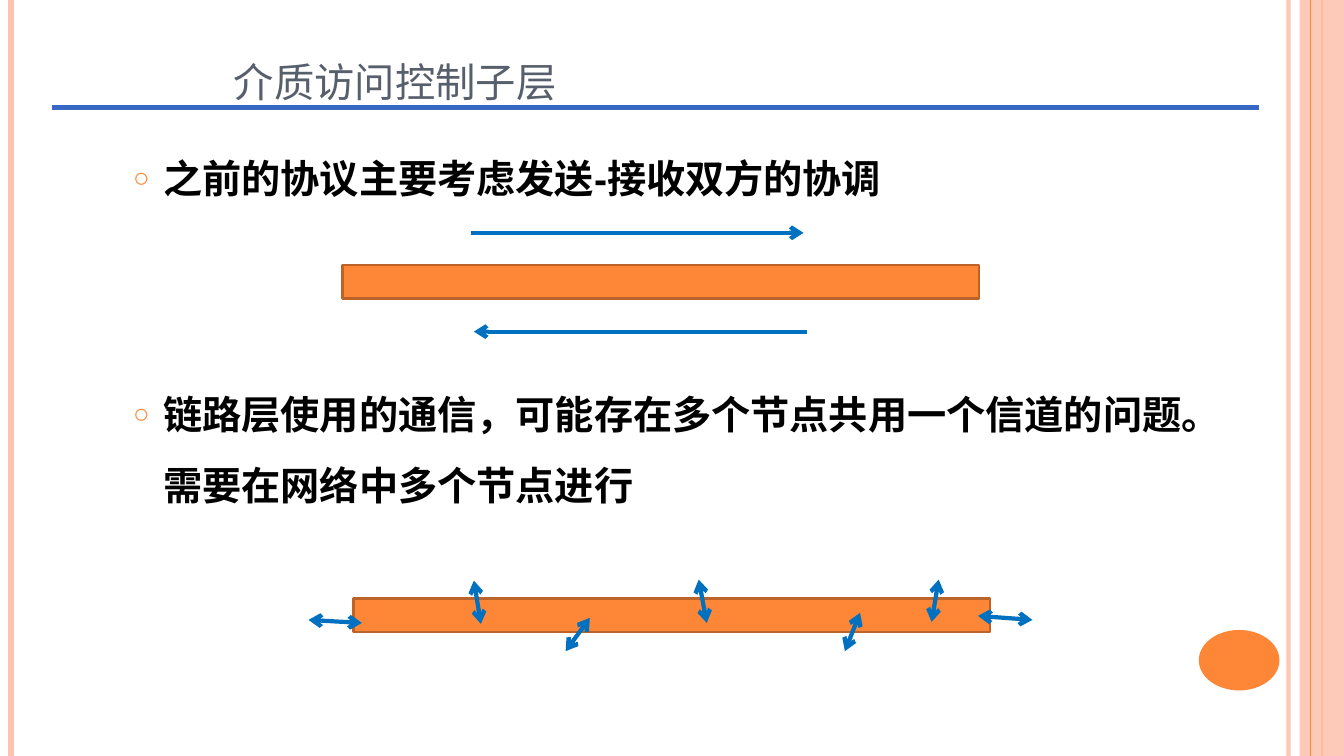
from dataclasses import dataclass

from lxml import etree
from pptx import Presentation
from pptx.dml.color import RGBColor
from pptx.enum import shapes, text
from pptx.oxml import ns
from pptx.util import Inches, Pt

ORANGE, PINK, BLUE = "FE8637", "FEC3AE", "0070C0"


@dataclass
class Line:
    x1: float
    y1: float
    x2: float
    y2: float
    color: str = BLUE
    width: float = 3
    head: bool = False
    tail: bool = False
    alpha: int = 100


@dataclass
class Block:
    left: float
    top: float
    width: float
    height: float
    kind: shapes.MSO_SHAPE = shapes.MSO_SHAPE.RECTANGLE
    fill: str = ORANGE
    outline: str = ""
    alpha: int = 100


def rgb(value: str) -> RGBColor:
    return RGBColor.from_string(value)


def add_child(parent, tag: str, **attrs: str):
    return etree.SubElement(parent, ns.qn(tag), attrs)


def set_alpha(element, percent: int) -> None:
    """Make the solid colour inside element partly transparent."""
    if percent < 100:
        color = next(element.iter(ns.qn("a:srgbClr")))
        add_child(color, "a:alpha", val=str(percent * 1000))


def draw_line(s, line: Line) -> None:
    ends = (Inches(v) for v in (line.x1, line.y1, line.x2, line.y2))
    c = s.shapes.add_connector(shapes.MSO_CONNECTOR.STRAIGHT, *ends)
    c.line.color.rgb = rgb(line.color)
    c.line.width = Pt(line.width)
    sp_pr = c._element.spPr
    ln = sp_pr.find(ns.qn("a:ln"))
    set_alpha(ln, line.alpha)
    if line.head:
        add_child(ln, "a:headEnd", type="arrow")
    if line.tail:
        add_child(ln, "a:tailEnd", type="arrow")
    add_child(sp_pr, "a:effectLst")


def draw_block(s, block: Block) -> None:
    box = (Inches(v) for v in (block.left, block.top, block.width, block.height))
    sp = s.shapes.add_shape(block.kind, *box)
    sp.shadow.inherit = False
    sp.fill.solid()
    sp.fill.fore_color.rgb = rgb(block.fill)
    set_alpha(sp._element.spPr, block.alpha)
    if block.outline:
        sp.line.color.rgb = rgb(block.outline)
        sp.line.width = Pt(2)
    else:
        sp.line.fill.background()


def place(sp, left: float, top: float, width: float, height: float) -> None:
    sp.left, sp.top = Inches(left), Inches(top)
    sp.width, sp.height = Inches(width), Inches(height)


def style_font(p, size: float, color: str, bold: bool) -> None:
    for r in p.runs:
        r.font.name = "Arial"
        r.font.size = Pt(size)
        r.font.bold = bold
        r.font.color.rgb = rgb(color)


def add_bullet(p) -> None:
    p_pr = p._p.get_or_add_pPr()
    p_pr.set("marL", str(Inches(0.3)))
    p_pr.set("indent", str(Inches(-0.3)))
    add_child(add_child(p_pr, "a:buClr"), "a:srgbClr", val=ORANGE)
    add_child(p_pr, "a:buSzPct", val="70000")
    add_child(p_pr, "a:buChar", char="○")


def fill_title(sp) -> None:
    place(sp, 2.22, 0.27, 8.9, 0.85)
    tf = sp.text_frame
    tf.text = "介质访问控制子层"
    tf.auto_size = text.MSO_AUTO_SIZE.NONE
    tf.vertical_anchor = text.MSO_ANCHOR.BOTTOM
    p = tf.paragraphs[0]
    p.alignment = text.PP_ALIGN.LEFT
    style_font(p, 36, "575F6D", False)
    p.runs[0].font._element.set("cap", "small")


def fill_body(sp) -> None:
    place(sp, 1.22, 1.25, 10.89, 5.33)
    tf = sp.text_frame
    tf.text = ("之前的协议主要考虑发送-接收双方的协调\n"
               "链路层使用的通信，可能存在多个节点共用一个信道的问题。需要在网络中多个节点进行")
    tf.auto_size = text.MSO_AUTO_SIZE.NONE
    for p, space_before in zip(tf.paragraphs, (0, 118)):
        add_bullet(p)
        p.line_spacing = 1.5
        p.space_before = Pt(space_before)
        style_font(p, 28, "000000", True)


FRAME = [
    Line(12.78, 0, 12.78, 7.5, PINK, 3, alpha=93),
    Line(0.11, 0, 0.11, 7.5, PINK, 4.5),
    Line(13.11, 0, 13.11, 7.5, ORANGE, 1.5),
    Block(12.89, 0, 0.44, 7.5, fill=PINK, alpha=87),
    Line(13, 0, 13, 7.5, ORANGE, 0.75),
    Block(11.89, 6.25, 0.8, 0.6, shapes.MSO_SHAPE.OVAL),
]
CHANNELS = [Block(left, top, 6.31, 0.33, outline="BC6329")
            for left, top in ((3.4, 2.63), (3.51, 5.94))]
DIRECTIONS = [
    Line(4.67, 2.31, 7.97, 2.31, tail=True),
    Line(4.7, 3.29, 8, 3.29, head=True),
]
NODES = [Line(*ends, head=True, tail=True) for ends in (
    (9.31, 5.75, 9.24, 6.17),
    (3.06, 6.15, 3.59, 6.18),
    (9.7, 6.11, 10.24, 6.15),
    (4.7, 5.76, 4.77, 6.19),
    (8.38, 6.46, 8.53, 6.08),
    (6.93, 5.75, 7.01, 6.18),
    (5.61, 6.46, 5.85, 6.13),
)]
TITLE_RULE = Line(0.52, 1.07, 12.49, 1.07, "3668C4", 3.5)


def main() -> None:
    prs = Presentation()
    prs.slide_width, prs.slide_height = Inches(13.33), Inches(7.5)
    s = prs.slides.add_slide(prs.slide_layouts[1])
    fill_title(s.shapes.title)
    fill_body(s.placeholders[1])
    for item in [*FRAME, *CHANNELS, *DIRECTIONS, *NODES, TITLE_RULE]:
        if isinstance(item, Line):
            draw_line(s, item)
        else:
            draw_block(s, item)
    prs.save("out.pptx")


if __name__ == "__main__":
    main()
